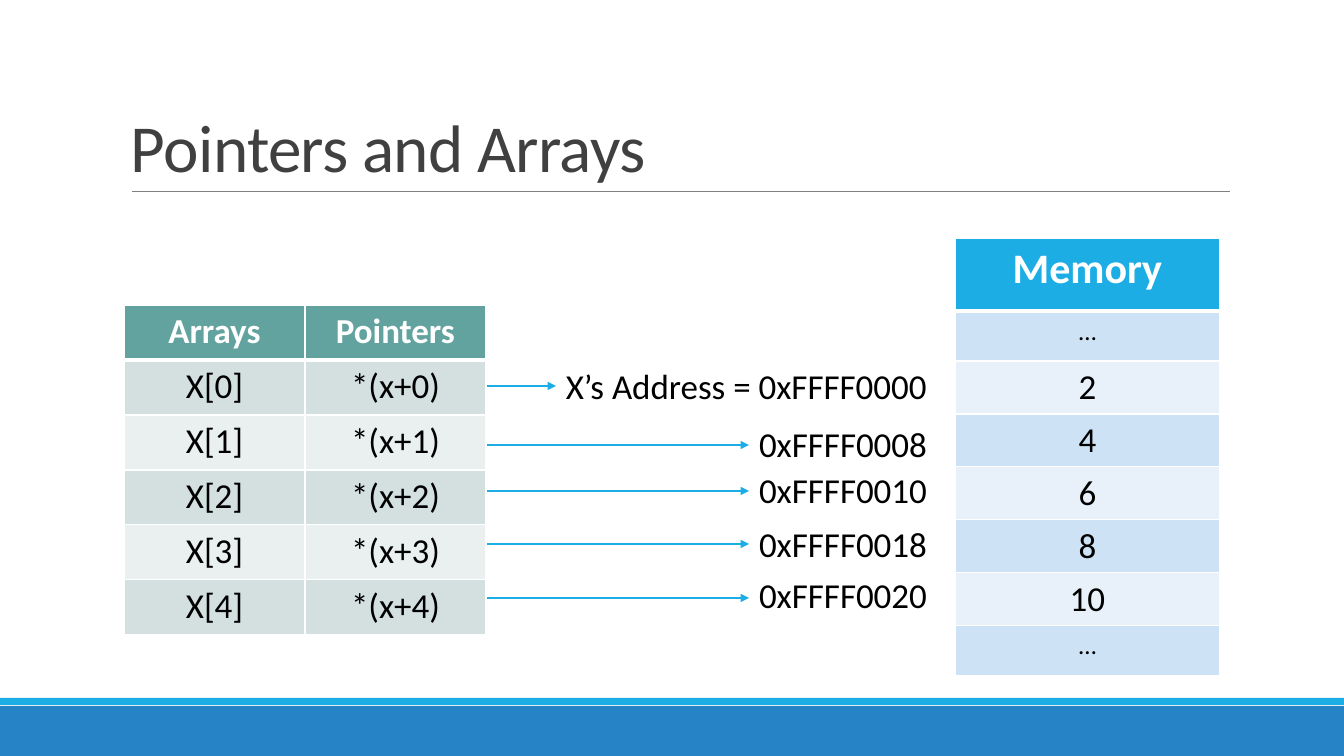
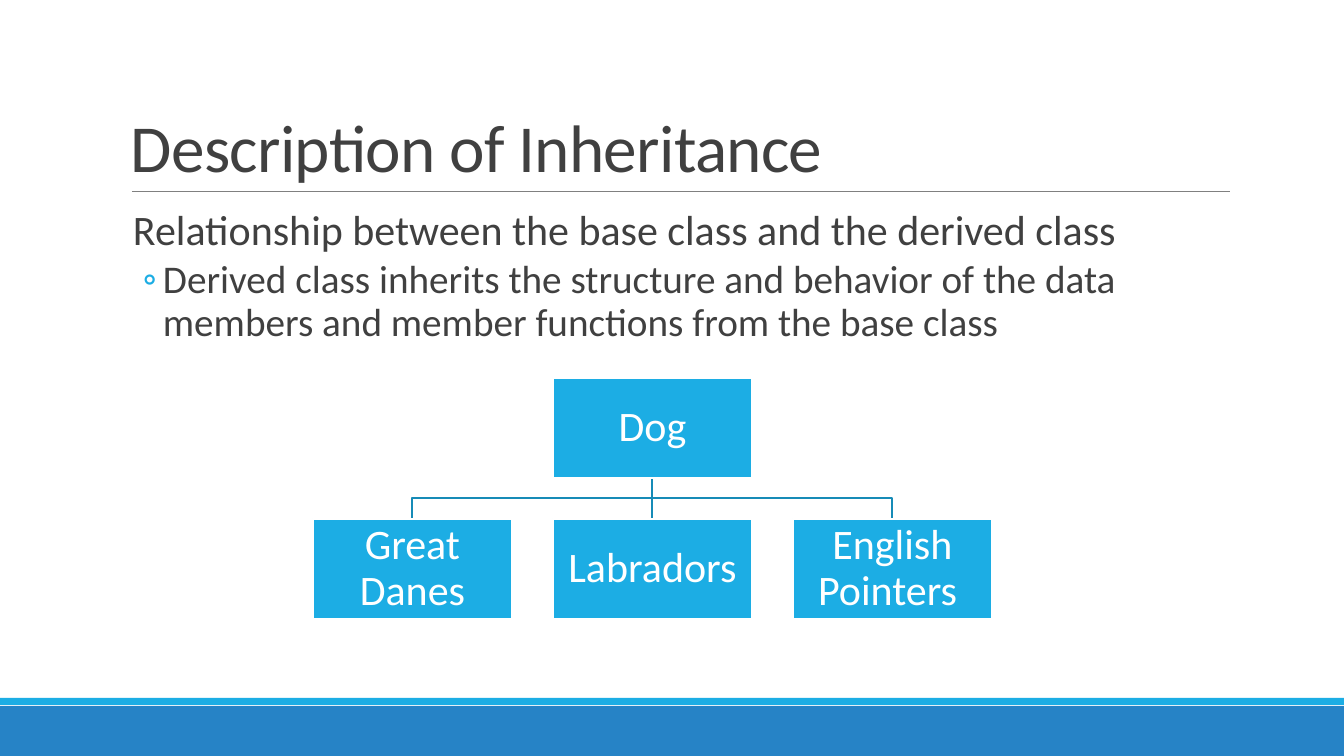
from dataclasses import dataclass
from typing import Any

from lxml.etree import SubElement
from pptx import Presentation
from pptx.dml.color import RGBColor
from pptx.enum.shapes import MSO_CONNECTOR as Connector, MSO_SHAPE as Preset
from pptx.enum.text import MSO_ANCHOR as Anchor, PP_ALIGN as Align
from pptx.oxml.ns import qn
from pptx.util import Emu, Pt

WIDTH, HEIGHT = 1344, 756
SCALE = 12192000 / WIDTH
FONT = "Calibri"
SKY, BLUE, DEEP_SKY = "1CADE4", "2683C6", "168BB7"
WHITE, BLACK, CHARCOAL, GREY = "FFFFFF", "000000", "404040", "808080"
ELLIPSIS = "…"


@dataclass(frozen=True)
class Box:
    """A rectangle in pixels."""
    left: int
    top: int
    width: int
    height: int

    @property
    def emu(self) -> tuple[Emu, ...]:
        """Left, top, width and height in EMU."""
        return tuple(px(n) for n in (self.left, self.top, self.width, self.height))

    @property
    def center(self) -> int:
        """Horizontal middle."""
        return self.left + self.width // 2

    @property
    def bottom(self) -> int:
        """Lower edge."""
        return self.top + self.height


@dataclass(frozen=True)
class Para:
    """One paragraph; the margin and hang are in pixels."""
    text: str
    size: float
    color: str = BLACK
    bold: bool = False
    align: Align = Align.LEFT
    leading: float = 1.0
    before: float = 0
    after: float = 0
    tracking: int = 0
    margin: int = 0
    hang: int = 0
    bullet: str = ""


@dataclass(frozen=True)
class Grid:
    """A striped table with one header row."""
    left: int
    top: int
    column_width: int
    heights: list[int]
    rows: list[list[str]]
    header_size: int
    header_fill: str
    stripes: tuple[str, str]


@dataclass(frozen=True)
class Address:
    """A memory address and the arrow that leads to it."""
    text: str
    left: int
    top: int
    arrow_y: int


def px(pixels: float) -> Emu:
    """Turn pixels into EMU."""
    return Emu(round(pixels * SCALE))


def rgb(value: str) -> RGBColor:
    """Turn a hex string into a colour."""
    return RGBColor.from_string(value)


def apply(target: Any, values: dict[str, Any]) -> None:
    """Set each named value on the target."""
    for name, value in values.items():
        setattr(target, name, value)


def paint(target: Any, color: str) -> None:
    """Give a shape or cell a solid fill."""
    target.fill.solid()
    target.fill.fore_color.rgb = rgb(color)


def stroke(line: Any, color: str, width: float) -> None:
    """Set the colour and width of a line."""
    line.color.rgb = rgb(color)
    line.width = Pt(width)


def write(frame: Any, paras: list[Para], inset: tuple[int, int] = (10, 5),
          anchor: Anchor = Anchor.TOP) -> None:
    """Fill a text frame with formatted paragraphs."""
    across, down = px(inset[0]), px(inset[1])
    apply(frame, {"word_wrap": True, "vertical_anchor": anchor,
                  "margin_left": across, "margin_right": across,
                  "margin_top": down, "margin_bottom": down})
    for index, para in enumerate(paras):
        paragraph = frame.add_paragraph() if index else frame.paragraphs[0]
        apply(paragraph, {"alignment": para.align, "line_spacing": para.leading,
                          "space_before": Pt(para.before), "space_after": Pt(para.after)})
        run = paragraph.add_run()
        run.text = para.text
        apply(run.font, {"name": FONT, "size": Pt(para.size), "bold": para.bold})
        run.font.color.rgb = rgb(para.color)
        if para.tracking:
            run._r.get_or_add_rPr().set("spc", str(para.tracking))
        properties = paragraph._p.get_or_add_pPr()
        properties.set("marL", str(px(para.margin)))
        properties.set("indent", str(-px(para.hang)))
        if para.bullet:
            tint = SubElement(properties, qn("a:buClr"))
            SubElement(tint, qn("a:srgbClr"), val=SKY)
            SubElement(properties, qn("a:buFont"), typeface=FONT)
            SubElement(properties, qn("a:buChar"), char=para.bullet)


def add_text(slide: Any, box: Box, paras: list[Para], **layout: Any) -> None:
    """Add a text box."""
    write(slide.shapes.add_textbox(*box.emu).text_frame, paras, **layout)


def add_rect(slide: Any, box: Box, color: str) -> Any:
    """Add a filled rectangle without outline or shadow."""
    rect = slide.shapes.add_shape(Preset.RECTANGLE, *box.emu)
    rect.shadow.inherit = False
    paint(rect, color)
    rect.line.fill.background()
    return rect


def add_line(slide: Any, start: tuple[int, int], end: tuple[int, int],
             color: str, width: float, arrow: bool = False) -> None:
    """Add a straight line, with an arrowhead at its end if asked."""
    line = slide.shapes.add_connector(Connector.STRAIGHT, *map(px, start + end))
    stroke(line.line, color, width)
    properties = line._element.spPr
    if arrow:
        SubElement(properties.find(qn("a:ln")), qn("a:tailEnd"), type="triangle")
    SubElement(properties, qn("a:effectLst"))


def add_borders(cell: Any, top: float, bottom: float) -> None:
    """Draw white borders round a cell, 1 pt wide at the sides."""
    properties = cell._tc.get_or_add_tcPr()
    for side, width in {"L": 1, "R": 1, "T": top, "B": bottom}.items():
        border = SubElement(properties, qn(f"a:ln{side}"), w=str(Pt(width)))
        SubElement(SubElement(border, qn("a:solidFill")), qn("a:srgbClr"), val=WHITE)


def add_grid(slide: Any, grid: Grid) -> None:
    """Add a striped table."""
    columns = len(grid.rows[0])
    box = Box(grid.left, grid.top, columns * grid.column_width, sum(grid.heights))
    table = slide.shapes.add_table(len(grid.rows), columns, *box.emu).table
    for column in table.columns:
        column.width = px(grid.column_width)
    for r, (texts, height) in enumerate(zip(grid.rows, grid.heights)):
        table.rows[r].height = px(height)
        header = r == 0
        for c, text in enumerate(texts):
            cell = table.cell(r, c)
            add_borders(cell, top=3 if r == 1 else 1, bottom=3 if header else 1)
            paint(cell, grid.header_fill if header else grid.stripes[(r - 1) % 2])
            size = grid.header_size if header else 18 if text == ELLIPSIS else 25
            write(cell.text_frame, [Para(text, size, WHITE if header else BLACK,
                                         bold=header, align=Align.CENTER)])


def add_slide(deck: Any, title: str) -> Any:
    """Add a blank slide with the shared bands, rule and title."""
    slide = deck.slides.add_slide(deck.slide_layouts[6])
    add_rect(slide, Box(0, 706, WIDTH, 50), BLUE)
    add_rect(slide, Box(0, 698, WIDTH, 7), SKY)
    add_line(slide, (132, 191), (1230, 191), GREY, 0.5)
    add_text(slide, Box(121, 31, 1109, 160),
             [Para(title, 48, CHARCOAL, leading=0.85, tracking=-50)], anchor=Anchor.BOTTOM)
    return slide


def add_class_box(slide: Any, box: Box, name: str) -> None:
    """Add one class of the inheritance tree."""
    rect = add_rect(slide, box, SKY)
    stroke(rect.line, WHITE, 1.25)
    write(rect.text_frame, [Para(name, 30, WHITE, align=Align.CENTER, leading=0.9)],
          inset=(2, 2), anchor=Anchor.MIDDLE)


def add_branch(slide: Any, parent: Box, child: Box) -> None:
    """Join a parent class to a child, with a bend where needed."""
    start, end = (parent.center, parent.bottom), (child.center, child.top)
    if parent.center == child.center:
        add_line(slide, start, end, DEEP_SKY, 1.25)
        return
    bend = (parent.bottom + child.top) // 2
    builder = slide.shapes.build_freeform(*start, scale=SCALE)
    builder.add_line_segments([(start[0], bend), (end[0], bend), end], close=False)
    branch = builder.convert_to_shape()
    branch.shadow.inherit = False
    branch.fill.background()
    stroke(branch.line, DEEP_SKY, 1.25)


def build_pointers(deck: Any) -> None:
    """Build the slide on pointers and arrays."""
    slide = add_slide(deck, "Pointers and Arrays")
    values = [ELLIPSIS, "2", "4", "6", "8", "10", ELLIPSIS]
    add_grid(slide, Grid(955, 238, 265, [73, 50, *[53] * 5, 50],
                         [["Memory"], *([value] for value in values)],
                         30, SKY, ("CDE3F5", "E8F1FA")))
    elements = Grid(124, 305, 181, [55] * 6,
                    [["Arrays", "Pointers"], *([f"X[{i}]", f"*(x+{i})"] for i in range(5))],
                    25, "62A39F", ("D3E0DF", "EAF0F0"))
    add_grid(slide, elements)
    addresses = [
        Address("X’s Address = 0xFFFF0000", 556, 360, 386),
        Address("0xFFFF0008", 749, 418, 445),
        Address("0xFFFF0010", 749, 464, 491),
        Address("0xFFFF0018", 749, 518, 544),
        Address("0xFFFF0020", 749, 569, 598),
    ]
    arrow_start = elements.left + 2 * elements.column_width + 1
    for address in addresses:
        add_text(slide, Box(address.left, address.top, 385, 52), [Para(address.text, 25)])
        add_line(slide, (arrow_start, address.arrow_y), (address.left, address.arrow_y),
                 SKY, 1, arrow=True)


def build_inheritance(deck: Any) -> None:
    """Build the slide on inheritance."""
    slide = add_slide(deck, "Description of Inheritance")
    add_text(slide, Box(121, 204, 1109, 444), [
        Para("Relationship between the base class and the derived class", 30, CHARCOAL,
             leading=0.9, before=12, after=2, margin=12),
        Para("Derived class inherits the structure and behavior of the data members "
             "and member functions from the base class", 28, CHARCOAL,
             leading=0.9, before=2, after=4, margin=42, hang=20, bullet="◦"),
    ], inset=(0, 5))
    base = Box(553, 378, 199, 100)
    breeds = ["Great Danes", "Labradors", "English Pointers "]
    derived = [Box(313 + 240 * i, 519, base.width, base.height) for i in range(len(breeds))]
    for box in derived:
        add_branch(slide, base, box)
    for box, name in zip([base, *derived], ["Dog", *breeds]):
        add_class_box(slide, box, name)


def main() -> None:
    """Build and save the deck."""
    deck = Presentation()
    apply(deck, {"slide_width": px(WIDTH), "slide_height": px(HEIGHT)})
    build_pointers(deck)
    build_inheritance(deck)
    deck.save("out.pptx")


main()
